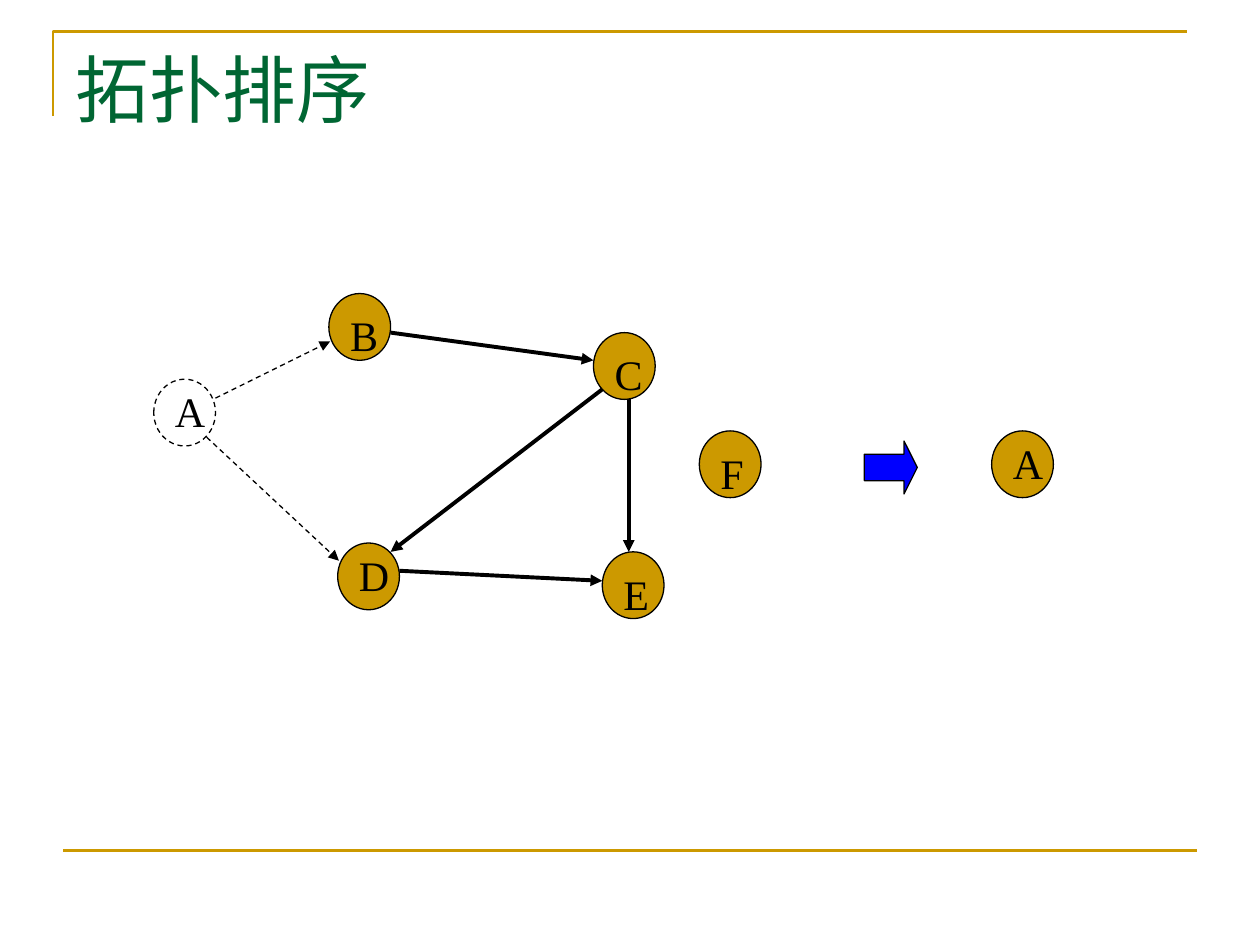
from pptx import Presentation
from pptx.dml.color import RGBColor
from pptx.enum.dml import MSO_LINE_DASH_STYLE as Dash
from pptx.enum.shapes import MSO_CONNECTOR as Conn, MSO_SHAPE as Shape
from pptx.enum.text import MSO_ANCHOR as Anchor, MSO_AUTO_SIZE as Fit, PP_ALIGN as Align
from pptx.oxml.ns import qn
from pptx.util import Inches, Pt
from lxml import etree

GOLD = RGBColor(0xCC, 0x99, 0x00)
GREEN = RGBColor(0x00, 0x66, 0x33)
BLUE = RGBColor(0x00, 0x00, 0xFF)
BLACK = RGBColor(0x00, 0x00, 0x00)
FONT = "Times New Roman"

deck = Presentation()
deck.slide_width, deck.slide_height = Inches(10), Inches(7.5)
slide = deck.slides.add_slide(deck.slide_layouts[5])
shapes = slide.shapes


def add_line(x1, y1, x2, y2, color, width, arrow=False):
    line = shapes.add_connector(Conn.STRAIGHT, Inches(x1), Inches(y1), Inches(x2), Inches(y2))
    line.line.color.rgb = color
    line.line.width = Pt(width)
    props = line._element.spPr
    if arrow:
        etree.SubElement(props.find(qn("a:ln")), qn("a:tailEnd"), type="triangle")
    etree.SubElement(props, qn("a:effectLst"))
    return line


def add_solid(kind, x, y, w, h, fill):
    solid = shapes.add_shape(kind, Inches(x), Inches(y), Inches(w), Inches(h))
    solid.shadow.inherit = False
    solid.line.color.rgb = BLACK
    solid.line.width = Pt(0.75)
    if fill is None:
        solid.fill.background()
    else:
        solid.fill.solid()
        solid.fill.fore_color.rgb = fill
    return solid


# Frame: corner at the top, rule at the bottom
pen = shapes.build_freeform(Inches(0.42), Inches(0.92))
pen.add_line_segments([(Inches(0.42), Inches(0.25)), (Inches(9.42), Inches(0.25))], close=False)
frame = pen.convert_to_shape()
frame.shadow.inherit = False
frame.fill.background()
frame.line.color.rgb = GOLD
frame.line.width = Pt(1.5)
add_line(0.5, 6.75, 9.5, 6.75, GOLD, 1.5)

# Title
title = shapes.title
title.left, title.top = Inches(0.5), Inches(0.3)
title.width, title.height = Inches(9), Inches(1.25)
title.text_frame.text = "拓扑排序"
title.text_frame.vertical_anchor = Anchor.TOP
title.text_frame.auto_size = Fit.NONE
head = title.text_frame.paragraphs[0]
head.alignment = Align.LEFT
head.font.size = Pt(42)
head.font.name = FONT
head.font.color.rgb = GREEN

# Edges: solid ones remain, dashed ones go with node A
edges = [
    (3.1, 2.64, 4.71, 2.86, True),
    (3.17, 4.53, 4.78, 4.61, True),
    (4.99, 3.17, 4.99, 4.38, True),
    (4.78, 3.09, 3.1, 4.38, True),
    (1.71, 3.16, 2.62, 2.71, False),
    (1.64, 3.47, 2.69, 4.45, False),
]
for x1, y1, x2, y2, kept in edges:
    edge = add_line(x1, y1, x2, y2, BLACK, 2.25 if kept else 0.75, arrow=True)
    if not kept:
        edge.line.dash_style = Dash.DASH

# Nodes: letter, left, top, label drop, kept in the graph
nodes = [
    ("A", 1.22, 3.01, 0, False),
    ("B", 2.61, 2.33, 0.08, True),
    ("C", 4.71, 2.64, 0.08, True),
    ("D", 2.68, 4.31, 0, True),
    ("E", 4.78, 4.38, 0.08, True),
    ("F", 5.55, 3.42, 0.08, True),
    ("A", 7.87, 3.42, 0, True),
]
for letter, x, y, drop, kept in nodes:
    node = add_solid(Shape.OVAL, x, y, 0.49, 0.53, GOLD if kept else None)
    if not kept:
        node.line.dash_style = Dash.DASH
    label = shapes.add_textbox(Inches(x + 0.07), Inches(y + drop), Inches(0.33), Inches(0.5))
    label.text_frame.word_wrap = True
    label.text_frame.auto_size = Fit.SHAPE_TO_FIT_TEXT
    para = label.text_frame.paragraphs[0]
    para.text = letter
    para.font.size = Pt(24)
    para.font.name = FONT
    para.font.color.rgb = BLACK

# Arrow to the sorted output
arrow = add_solid(Shape.RIGHT_ARROW, 6.86, 3.5, 0.42, 0.42, BLUE)
arrow.adjustments[0] = 0.5
arrow.adjustments[1] = 0.25

deck.save("out.pptx")
